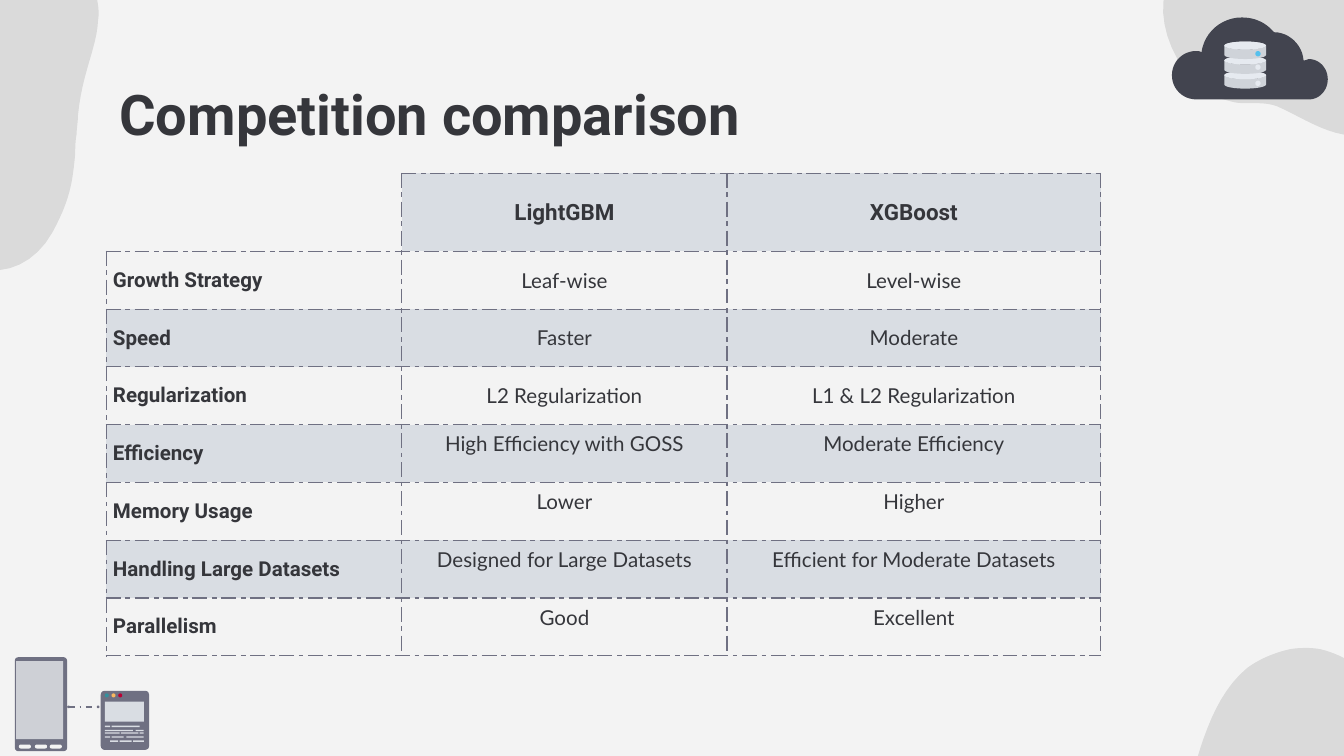
"""Build the slide comparing LightGBM and XGBoost in a table."""
from lxml.etree import SubElement
from pptx import Presentation
from pptx.dml.color import RGBColor
from pptx.enum.dml import MSO_LINE
from pptx.enum.shapes import MSO_CONNECTOR, MSO_SHAPE
from pptx.enum.text import MSO_ANCHOR, PP_ALIGN
from pptx.oxml.ns import qn
from pptx.util import Inches, Pt

INK, SLATE, PALE, PAPER = "35363B", "6F7082", "D9DDE3", "F3F3F3"
CLOUD, STEEL, ICE = "42444F", "CFD3D9", "E6EAF0"


def write(frame, text, size=11, font="Roboto", bold=True, align=PP_ALIGN.LEFT):
    paragraph = frame.paragraphs[0]
    paragraph.alignment = align
    run = paragraph.add_run()
    run.text = text
    run.font.size = Pt(size)
    run.font.name = font
    run.font.bold = bold
    run.font.color.rgb = RGBColor.from_string(INK)


def paint(shape, color):
    shape.shadow.inherit = False
    shape.fill.solid()
    shape.fill.fore_color.rgb = RGBColor.from_string(color)
    shape.line.fill.background()


def place(kind, left, top, width, height, color, corner=None):
    shape = slide.shapes.add_shape(kind, Inches(left), Inches(top), Inches(width), Inches(height))
    paint(shape, color)
    if corner is not None:
        shape.adjustments[0] = corner


prs = Presentation()
prs.slide_width, prs.slide_height = Inches(10), Inches(5.625)
slide = prs.slides.add_slide(prs.slide_layouts[6])
slide.background.fill.solid()
slide.background.fill.fore_color.rgb = RGBColor.from_string(PAPER)

top_right = [
    (10.28, 0.96), (10.25, 0.98, 10.22, 0.99, 10.18, 1), (9.93, 1.05, 9.71, 0.88, 9.5, 0.79),
    (9.39, 0.75, 9.28, 0.78, 9.18, 0.76), (8.82, 0.7, 8.59, 0.23, 8.67, -0.06),
    (8.72, -0.2, 8.8, -0.31, 8.93, -0.38), (9.02, -0.43, 9.12, -0.46, 9.25, -0.48),
    (9.56, -0.52, 9.78, -0.57, 10.12, -0.35), (10.46, -0.14, 10.55, 0.35, 10.49, 0.69),
    (10.49, 0.69, 10.44, 0.88, 10.28, 0.96)]
bottom_right = [
    (9.6, 4.83), (9.51, 4.85, 9.39, 4.89, 9.28, 4.97), (9.04, 5.17, 8.95, 5.5, 8.87, 5.77),
    (8.79, 6.03, 8.9, 6.27, 9.12, 6.35), (9.18, 6.38, 9.23, 6.38, 9.27, 6.37),
    (9.41, 6.35, 9.53, 6.23, 9.75, 6.19), (9.78, 6.19, 9.81, 6.18, 9.84, 6.18),
    (9.88, 6.17, 9.91, 6.17, 9.94, 6.16), (10.09, 6.14, 10.18, 6.11, 10.33, 5.97),
    (10.55, 5.77, 10.53, 5.38, 10.3, 5.12), (10.06, 4.87, 9.82, 4.83, 9.82, 4.83),
    (9.82, 4.83, 9.73, 4.81, 9.6, 4.83)]
top_left = [
    (-0.76, 0.86), (-0.75, 0.72, -0.72, 0.54, -0.64, 0.38), (-0.46, -0.01, -0.14, -0.18, 0.12, -0.34),
    (0.38, -0.49, 0.62, -0.37, 0.71, -0.06), (0.73, 0.02, 0.74, 0.09, 0.73, 0.15),
    (0.72, 0.36, 0.61, 0.54, 0.58, 0.86), (0.58, 0.91, 0.57, 0.96, 0.57, 1),
    (0.56, 1.05, 0.56, 1.1, 0.56, 1.14), (0.54, 1.36, 0.52, 1.49, 0.39, 1.73),
    (0.2, 2.07, -0.19, 2.11, -0.45, 1.81), (-0.71, 1.51, -0.76, 1.17, -0.76, 1.17),
    (-0.76, 1.17, -0.78, 1.04, -0.76, 0.86)]
cloud = [
    (9.74, 0.44), (9.73, 0.44, 9.72, 0.45, 9.7, 0.45), (9.69, 0.33, 9.59, 0.24, 9.48, 0.24),
    (9.42, 0.17, 9.34, 0.13, 9.24, 0.13), (9.09, 0.13, 8.96, 0.24, 8.94, 0.39),
    (8.93, 0.38, 8.91, 0.38, 8.9, 0.38), (8.8, 0.38, 8.72, 0.46, 8.72, 0.56),
    (8.72, 0.66, 8.8, 0.74, 8.9, 0.74), (9.74, 0.74), (9.82, 0.74, 9.88, 0.67, 9.88, 0.59),
    (9.88, 0.51, 9.82, 0.44, 9.74, 0.44)]
STEPS = 12
for outline, color, opacity in [(top_right, "000000", 10), (bottom_right, "000000", 10),
                                (top_left, "000000", 10), (cloud, CLOUD, 100)]:
    points = [outline[0]]
    for segment in outline[1:]:
        if len(segment) == 2:
            points.append(segment)
            continue
        x0, y0 = points[-1]
        x1, y1, x2, y2, x3, y3 = segment
        for step in range(1, STEPS + 1):
            t = step / STEPS
            a, b, c, d = (1 - t) ** 3, 3 * t * (1 - t) ** 2, 3 * t * t * (1 - t), t ** 3
            points.append((a * x0 + b * x1 + c * x2 + d * x3, a * y0 + b * y1 + c * y2 + d * y3))
    points = [(Inches(x), Inches(y)) for x, y in points]
    builder = slide.shapes.build_freeform(*points[0])
    builder.add_line_segments(points[1:], close=True)
    blob = builder.convert_to_shape()
    paint(blob, color)
    if opacity < 100:
        tint = blob._element.spPr.find(qn("a:solidFill"))[0]
        SubElement(tint, qn("a:alpha"), val=str(opacity * 1000))

for disk_top, light_top, light in [(0.53, 0.6, ICE), (0.42, 0.48, ICE), (0.31, 0.38, "55C0ED")]:
    place(MSO_SHAPE.CAN, 9.11, disk_top, 0.31, 0.13, STEEL, corner=0.46)
    place(MSO_SHAPE.OVAL, 9.11, disk_top, 0.31, 0.06, ICE)
    place(MSO_SHAPE.OVAL, 9.34, light_top, 0.04, 0.04, light)

place(MSO_SHAPE.ROUNDED_RECTANGLE, 0.75, 5.14, 0.36, 0.44, SLATE, corner=0.08)
for left, color in [(0.78, "34909D"), (0.83, "F8B85E"), (0.88, "BA0034")]:
    place(MSO_SHAPE.OVAL, left, 5.16, 0.03, 0.03, color)
place(MSO_SHAPE.RECTANGLE, 0.78, 5.22, 0.29, 0.15, PALE)
code_lines = {
    5.4: [(0.78, 0.82), (0.83, 1.04)],
    5.43: [(0.78, 0.99), (1.01, 1.07)],
    5.45: [(0.78, 0.89), (0.9, 1.03), (1.04, 1.07)],
    5.48: [(0.78, 0.82), (0.83, 0.92), (0.94, 1.07)],
    5.51: [(0.82, 0.88), (0.89, 0.98), (0.99, 1.07)],
}
for top, dashes in code_lines.items():
    for left, right in dashes:
        place(MSO_SHAPE.RECTANGLE, left, top, right - left, 0.01, PALE)

place(MSO_SHAPE.ROUNDED_RECTANGLE, 0.11, 4.89, 0.39, 0.7, SLATE, corner=0.07)
place(MSO_SHAPE.RECTANGLE, 0.12, 4.92, 0.35, 0.58, "CED0D6")
for left in (0.14, 0.26, 0.37):
    place(MSO_SHAPE.ROUNDED_RECTANGLE, left, 5.54, 0.09, 0.03, PAPER, corner=0.5)

cable = slide.shapes.add_connector(
    MSO_CONNECTOR.STRAIGHT, Inches(0.51), Inches(5.26), Inches(0.73), Inches(5.26))
cable.line.color.rgb = RGBColor.from_string(SLATE)
cable.line.width = Pt(0.86)
cable.line.dash_style = MSO_LINE.DASH_DOT
SubElement(cable._element.spPr, qn("a:effectLst"))
for left in (0.5, 0.72):
    place(MSO_SHAPE.OVAL, left, 5.25, 0.02, 0.02, SLATE)

title = slide.shapes.add_textbox(Inches(0.79), Inches(0.49), Inches(8.43), Inches(0.63)).text_frame
title.word_wrap = True
title.margin_left = title.margin_right = title.margin_top = title.margin_bottom = Inches(0.1)
write(title, "Competition comparison", size=30)

comparison = [
    ("", "LightGBM", "XGBoost"),
    ("Growth Strategy", "Leaf-wise", "Level-wise"),
    ("Speed", "Faster", "Moderate"),
    ("Regularization", "L2 Regularization", "L1 & L2 Regularization"),
    ("Efficiency", "High Efficiency with GOSS", "Moderate Efficiency"),
    ("Memory Usage", "Lower", "Higher"),
    ("Handling Large Datasets", "Designed for Large Datasets", "Efficient for Moderate Datasets"),
    ("Parallelism", "Good", "Excellent"),
]
table = slide.shapes.add_table(
    len(comparison), 3, Inches(0.79), Inches(1.29), Inches(7.4), Inches(3.59)).table
table.first_row = table.horz_banding = False
for column, width in zip(table.columns, (2.2, 2.42, 2.78)):
    column.width = Inches(width)
for r, entries in enumerate(comparison):
    table.rows[r].height = Inches(0.43 if r else 0.58)
    for c, entry in enumerate(entries):
        cell = table.cell(r, c)
        properties = cell._tc.get_or_add_tcPr()
        for side in ("lnL", "lnR", "lnT", "lnB"):
            border = SubElement(properties, qn(f"a:{side}"), w=str(Pt(0.75)))
            if not entry and side in ("lnL", "lnT"):
                SubElement(border, qn("a:noFill"))
            else:
                SubElement(SubElement(border, qn("a:solidFill")), qn("a:srgbClr"), val=SLATE)
                SubElement(border, qn("a:prstDash"), val="dashDot")
        if r % 2 == 0 and entry:
            cell.fill.solid()
            cell.fill.fore_color.rgb = RGBColor.from_string(PALE)
        else:
            cell.fill.background()
        if c == 0 or r < 4:
            cell.vertical_anchor = MSO_ANCHOR.MIDDLE
            cell.margin_left = cell.margin_right = Inches(0.05)
        if entry:
            heading = r == 0 or c == 0
            write(cell.text_frame, entry, size=11 if r else 12, font="Roboto" if heading else "Lato",
                  bold=heading, align=PP_ALIGN.CENTER if c else PP_ALIGN.LEFT)

prs.save("out.pptx")
